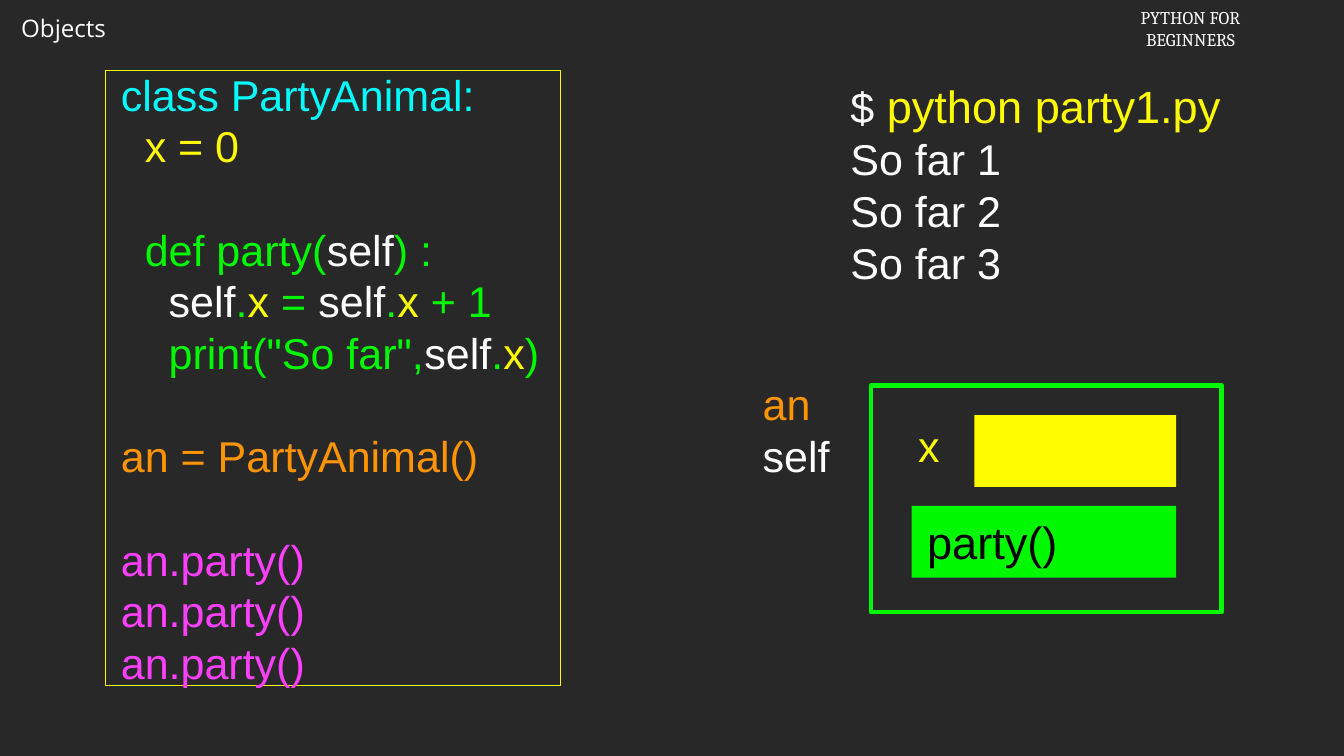
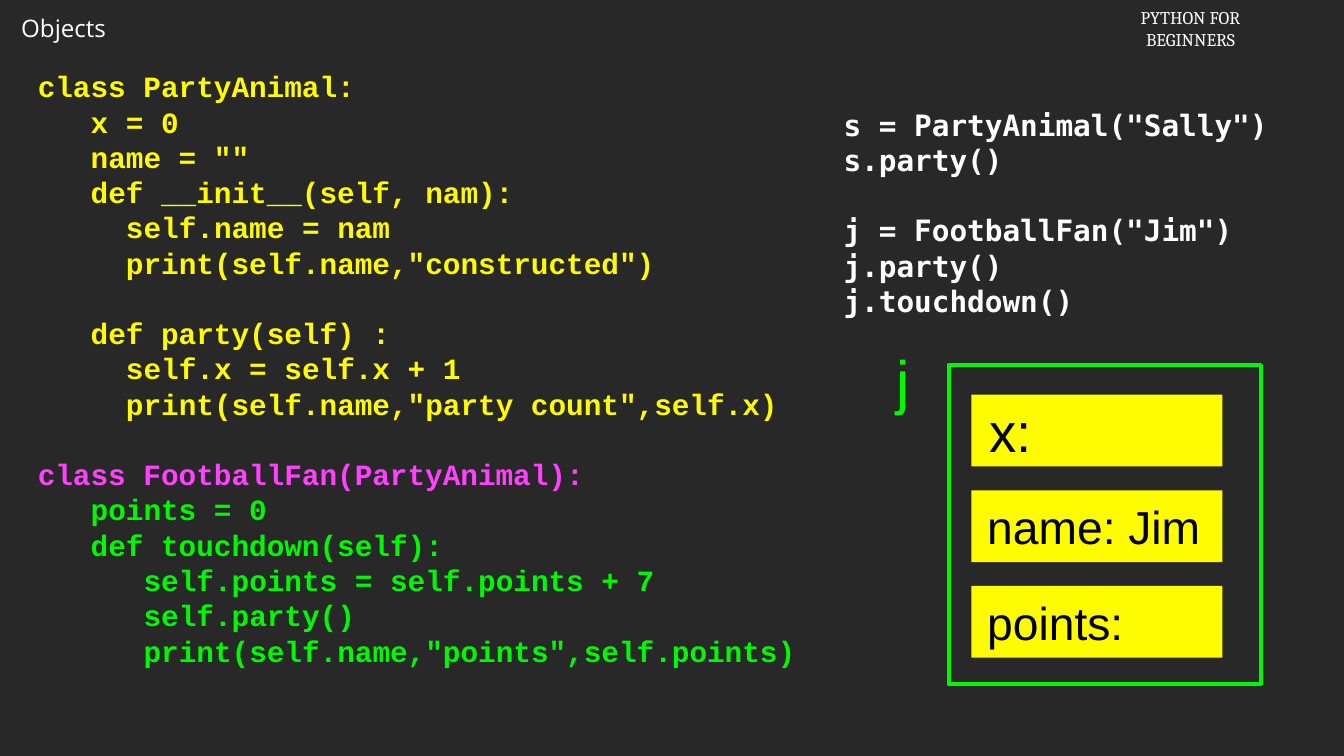
from pptx import Presentation
from pptx.dml.color import RGBColor
from pptx.enum.shapes import MSO_SHAPE
from pptx.enum.text import MSO_ANCHOR, MSO_AUTO_SIZE, PP_ALIGN
from pptx.util import Inches, Pt

RECTANGLE = MSO_SHAPE.RECTANGLE
MIDDLE, TOP = MSO_ANCHOR.MIDDLE, MSO_ANCHOR.TOP
LEFT, CENTER = PP_ALIGN.LEFT, PP_ALIGN.CENTER
NO_AUTOSIZE = MSO_AUTO_SIZE.NONE

COLOURS = {
    "background": "282828",
    "white": "FFFFFF",
    "black": "000000",
    "yellow": "FFFB00",
    "bright yellow": "FFFF00",
    "green": "00F900",
    "light green": "00FA00",
    "cyan": "00FDFF",
    "orange": "FF9300",
    "magenta": "FF40FF",
}
SPACE_WIDTH = {"Arial": 0.278, "Courier New": 0.6, "DejaVu Sans Mono": 0.602}
LINE_PITCH = 1.2
INSET = 0.04
CHIP_HEIGHT = 0.95
TITLE_LAYOUT = 5

SELF = ("self", "white")
DOT = (".", "green")
X = ("x", "bright yellow")

PARTY_CODE = [
    [("class PartyAnimal:", "cyan")],
    [("  x = 0", "yellow")],
    [],
    [("  def party(", "green"), SELF, (") :", "green")],
    [("    self", "white"), DOT, X, (" = ", "green"), SELF, DOT, X, (" + 1", "green")],
    [('    print("So far",', "green"), SELF, DOT, X, (")", "green")],
    [],
    [("an = PartyAnimal()", "orange")],
    [],
] + [[("an.party()", "magenta")]] * 3

PARTY_OUTPUT = [
    [("$", "white"), (" python party1.py", "yellow", 43)],
] + [[(f"So far {count}", "white")] for count in (1, 2, 3)]

ANIMAL_CLASS = """class PartyAnimal:
   x = 0
   name = ""
   def __init__(self, nam):
     self.name = nam
     print(self.name,"constructed")

   def party(self) :
     self.x = self.x + 1
     print(self.name,"party count",self.x)
"""
FAN_HEADING = "class FootballFan(PartyAnimal):"
FAN_BODY = """   points = 0
   def touchdown(self):
      self.points = self.points + 7
      self.party()
      print(self.name,"points",self.points)"""
USAGE = """s = PartyAnimal("Sally")
s.party()

j = FootballFan("Jim")
j.party()
j.touchdown()"""


def rgb(colour):
    return RGBColor.from_string(COLOURS[colour])


def one_colour(code, colour):
    """Turn source code into lines of runs in a single colour."""
    return [[(line, colour)] if line else [] for line in code.split("\n")]


def style(run, font, size, colour, bold=False):
    run.font.name = font
    run.font.size = Pt(size)
    run.font.bold = bold
    run.font.color.rgb = rgb(colour)


def write_lines(frame, lines, size, font="Arial", bold=False, align=LEFT, base_indent=0):
    """Write lines of (text, colour[, size]) runs; leading spaces become indents
    and empty lines become space before the next paragraph."""
    frame.word_wrap = True
    frame.vertical_anchor = MIDDLE
    frame.margin_left = frame.margin_right = Inches(INSET)
    frame.margin_top = frame.margin_bottom = Inches(INSET)
    paragraph, gap = frame.paragraphs[0], 0
    started = False
    for line in lines:
        if not line:
            gap += size * LINE_PITCH
            continue
        if started:
            paragraph = frame.add_paragraph()
        started = True
        paragraph.alignment = align
        tallest = max([size] + [part[2] for part in line if len(part) > 2])
        paragraph.line_spacing = Pt(tallest * LINE_PITCH)
        paragraph.space_before = Pt(gap)
        gap = 0
        first = line[0][0]
        spaces = base_indent + len(first) - len(first.lstrip())
        properties = paragraph._p.get_or_add_pPr()
        properties.set("marL", str(Pt(spaces * SPACE_WIDTH[font] * size)))
        properties.set("indent", "0")
        for position, (text, colour, *own_size) in enumerate(line):
            run = paragraph.add_run()
            run.text = text if position else text.lstrip()
            style(run, font, own_size[0] if own_size else size, colour, bold)


def add_text(slide, box, lines, size, **options):
    area = slide.shapes.add_textbox(*map(Inches, box))
    write_lines(area.text_frame, lines, size, **options)


def add_box(slide, box, fill=None, line=None, line_width=4):
    rectangle = slide.shapes.add_shape(RECTANGLE, *map(Inches, box))
    rectangle.shadow.inherit = False
    if fill:
        rectangle.fill.solid()
        rectangle.fill.fore_color.rgb = rgb(fill)
    else:
        rectangle.fill.background()
    if line:
        rectangle.line.color.rgb = rgb(line)
        rectangle.line.width = Pt(line_width)
    else:
        rectangle.line.fill.background()
    return rectangle


def add_chip(slide, box, fill, label, size):
    """Add a filled box for one member of an object."""
    chip = add_box(slide, box, fill)
    write_lines(chip.text_frame, [[(label, "black")]], size, base_indent=1)


def set_up_master(prs, slide):
    """Give the master its background and the course label, built on a slide first."""
    master = prs.slide_master
    master.background.fill.solid()
    master.background.fill.fore_color.rgb = rgb("background")
    label = slide.shapes.add_textbox(Inches(14.88), Inches(0.04), Inches(1.74), Inches(0.67))
    label.text_frame.text = "PYTHON FOR\nBEGINNERS"
    label.text_frame.word_wrap = False
    for paragraph in label.text_frame.paragraphs:
        paragraph.alignment = CENTER
        style(paragraph.runs[0], "Cambria", 17, "white")
    label.element.xpath("./p:nvSpPr/p:cNvPr")[0].set("id", "20")
    master.shapes.element.append(label.element)


def add_titled_slide(prs):
    slide = prs.slides.add_slide(prs.slide_layouts[TITLE_LAYOUT])
    title = slide.shapes.title
    title.left, title.top = Inches(0.18), Inches(0.12)
    title.width, title.height = Inches(1.39), Inches(0.49)
    frame = title.text_frame
    frame.text = "Objects"
    frame.word_wrap = False
    frame.auto_size = NO_AUTOSIZE
    frame.vertical_anchor = MIDDLE
    frame.paragraphs[0].alignment = LEFT
    style(frame.paragraphs[0].runs[0], "Open Sans", 23, "white")
    return slide


def draw_party_object(slide, left, top, width, height):
    add_box(slide, (left, top, width, height), line="green")
    right = left + width - 0.6
    add_box(slide, (right - 2.67, top + 0.39, 2.67, CHIP_HEIGHT), "yellow")
    add_chip(slide, (right - 3.5, top + 1.59, 3.5, CHIP_HEIGHT), "green", "party()", 43)
    add_text(slide, (left - 1.47, top - 0.23, 1.06, 1.62),
             [[("an ", "orange"), SELF]], 41)
    add_text(slide, (left + 0.4, top + 0.45, 0.74, 0.68), [[X]], 41, align=CENTER)


def draw_fan_object(slide, left, top, width, height):
    add_box(slide, (left, top, width, height), line="green")
    members = [("x:", 52), ("name: Jim", 44), ("points:", 44)]
    for row, (label, size) in enumerate(members):
        chip_top = top + 0.39 + row * 1.265
        add_chip(slide, (left + 0.3, chip_top, 3.32, CHIP_HEIGHT), "yellow", label, size)
    variable = slide.shapes.add_textbox(
        Inches(left - 0.87), Inches(top - 0.37), Inches(0.67), Inches(1.14))
    frame = variable.text_frame
    frame.text = "j"
    frame.word_wrap = True
    frame.vertical_anchor = TOP
    frame.margin_left = frame.margin_right = Inches(0.18)
    frame.margin_top = frame.margin_bottom = Inches(0.09)
    style(frame.paragraphs[0].runs[0], "Arial", 57, "light green")


def build_party_slide(slide):
    code_box = add_box(slide, (1.4, 0.93, 6.01, 8.14), line="yellow", line_width=1)
    write_lines(code_box.text_frame, PARTY_CODE, 41, base_indent=1)
    draw_party_object(slide, 11.52, 5.1, 4.64, 3)
    add_text(slide, (11.21, 1.17, 6.02, 2.51), PARTY_OUTPUT, 41)


def build_inheritance_slide(slide):
    code = (one_colour(ANIMAL_CLASS, "yellow") + one_colour(FAN_HEADING, "magenta")
            + one_colour(FAN_BODY, "green"))
    add_text(slide, (0.46, 0.3, 10.41, 9.14), code, 28, font="Courier New", bold=True)
    add_text(slide, (11.12, 1.17, 6.33, 3.28), one_colour(USAGE, "white"), 28,
             font="DejaVu Sans Mono", bold=True)
    draw_fan_object(slide, 12.55, 4.83, 4.13, 4.22)


def main():
    prs = Presentation()
    prs.slide_width, prs.slide_height = Inches(17.78), Inches(10)
    party_slide = add_titled_slide(prs)
    set_up_master(prs, party_slide)
    build_party_slide(party_slide)
    build_inheritance_slide(add_titled_slide(prs))
    prs.save("out.pptx")


if __name__ == "__main__":
    main()
